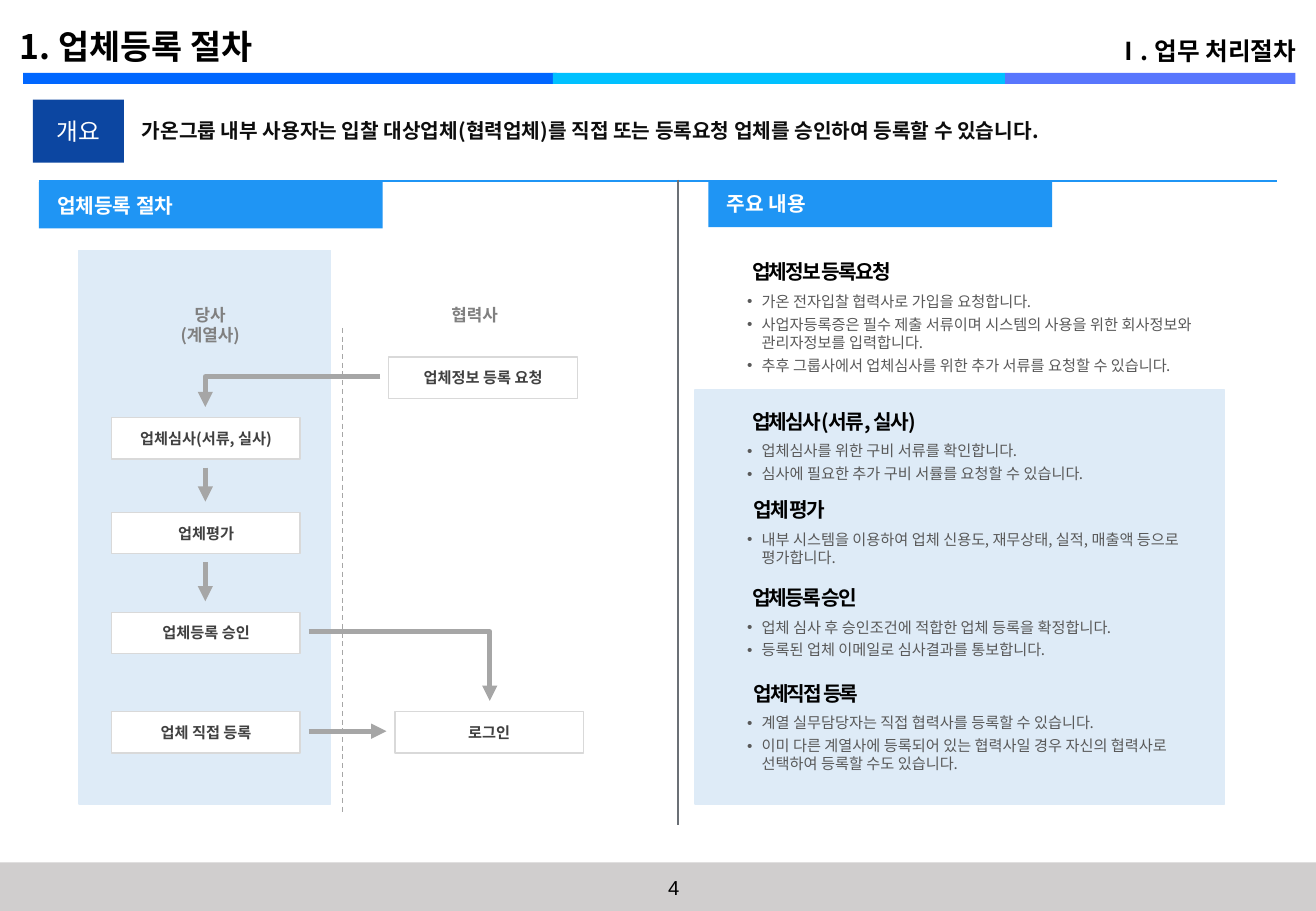
"""Build the vendor registration procedure slide."""
from lxml import etree
from pptx import Presentation
from pptx import util as u
from pptx.dml.color import RGBColor
from pptx.enum import dml, shapes, text
from pptx.oxml.ns import qn

BLACK = RGBColor(0x00, 0x00, 0x00)
INK = RGBColor(0x0D, 0x0D, 0x0D)
DARK_GRAY = RGBColor(0x40, 0x40, 0x40)
BODY_GRAY = RGBColor(0x59, 0x59, 0x59)
DIVIDER_GRAY = RGBColor(0x6B, 0x70, 0x76)
CAPTION_GRAY = RGBColor(0x80, 0x80, 0x80)
ARROW_GRAY = RGBColor(0xA6, 0xA6, 0xA6)
FOOTER_GRAY = RGBColor(0xD0, 0xCE, 0xCE)
BORDER_GRAY = RGBColor(0xD9, 0xD9, 0xD9)
WHITE = RGBColor(0xFF, 0xFF, 0xFF)
PALE_BLUE = RGBColor(0xDE, 0xEB, 0xF7)
NAVY = RGBColor(0x0C, 0x46, 0xA1)
TAB_BLUE = RGBColor(0x1F, 0x95, 0xF4)
RULE_BLUE = RGBColor(0x1F, 0x95, 0xF5)
BAND_BLUE = RGBColor(0x00, 0x67, 0xFF)
BAND_CYAN = RGBColor(0x00, 0xC1, 0xFF)
BAND_VIOLET = RGBColor(0x58, 0x76, 0xFD)
KOREAN = "Noto Sans CJK KR"
LEFT, CENTER, RIGHT = text.PP_ALIGN.LEFT, text.PP_ALIGN.CENTER, text.PP_ALIGN.RIGHT
MIDDLE = text.MSO_ANCHOR.MIDDLE

deck = Presentation()
deck.slide_width, deck.slide_height = u.Inches(10.83), u.Inches(7.5)
slide = deck.slides.add_slide(deck.slide_layouts[1])


def add_box(spot, fill, border=None):
    box = slide.shapes.add_shape(shapes.MSO_SHAPE.RECTANGLE, *map(u.Inches, spot))
    box.shadow.inherit = False
    box.fill.solid()
    box.fill.fore_color.rgb = fill
    if border is None:
        box.line.fill.background()
    else:
        box.line.color.rgb = border
        box.line.width = u.Pt(0.75)
    return box.text_frame


def write(frame, content, size, color, bold=True, align=LEFT, leading=1.18,
          anchor=text.MSO_ANCHOR.TOP, face=KOREAN):
    frame.text = content
    frame.word_wrap = True
    frame.auto_size = text.MSO_AUTO_SIZE.NONE
    frame.vertical_anchor = anchor
    for order, paragraph in enumerate(frame.paragraphs):
        paragraph.alignment = align
        paragraph.line_spacing = u.Pt(round(size * leading, 1))
        paragraph.space_before = u.Pt(3 if order else 0)
        for run in paragraph.runs:
            run.font.size = u.Pt(size)
            run.font.bold = bold
            run.font.color.rgb = color
            run.font.name = face
            east_asian = etree.SubElement(run.font._element, qn("a:ea"))
            east_asian.set("typeface", face)


for left, width, color in [(0.19, 4.39, BAND_BLUE), (8.27, 2.39, BAND_VIOLET),
                           (4.55, 3.72, BAND_CYAN)]:
    add_box((left, 0.6, width, 0.09), color)
add_box((0, 7.1, 10.83, 0.4), FOOTER_GRAY)
for panel in [(5.72, 3.21, 4.36, 3.41), (0.65, 2.06, 2.07, 4.56)]:
    add_box(panel, PALE_BLUE, PALE_BLUE)

title = slide.shapes.title
title.left, title.top, title.width, title.height = map(u.Inches, (0.06, 0, 7.36, 0.6))
write(title.text_frame, "1. 업체등록 절차", 20, BLACK, leading=1.77, anchor=MIDDLE)

chapter = slide.placeholders[1]
chapter.left, chapter.top, chapter.width, chapter.height = map(u.Inches, (8.02, 0.12, 2.75, 0.47))
write(chapter.text_frame, "Ⅰ. 업무 처리절차", 14.6, BLACK, align=RIGHT, leading=1.06,
      anchor=text.MSO_ANCHOR.BOTTOM)
chapter_format = chapter.text_frame.paragraphs[0]._p.get_or_add_pPr()
chapter_format.set("marL", "0")
chapter_format.set("indent", "0")
etree.SubElement(chapter_format, qn("a:buNone"))

write(add_box((0.27, 0.82, 0.75, 0.52), NAVY), "개요", 14, WHITE, False, CENTER, anchor=MIDDLE)
overview = slide.shapes.add_textbox(*map(u.Inches, (1.07, 0.85, 9.52, 0.38)))
write(overview.text_frame,
      "가온그룹 내부 사용자는 입찰 대상업체(협력업체)를 직접 또는 등록요청 업체를 승인하여 등록할 수 있습니다.",
      12, INK, leading=20 / 12)

STRAIGHT, ELBOW = shapes.MSO_CONNECTOR.STRAIGHT, shapes.MSO_CONNECTOR.ELBOW
for kind, ends, color, weight, arrow, turned in [
        (STRAIGHT, (0.32, 1.49, 10.51, 1.49), RULE_BLUE, 0.75, False, False),
        (STRAIGHT, (5.58, 1.48, 5.58, 6.79), DIVIDER_GRAY, 0.75, False, False),
        (STRAIGHT, (2.82, 2.7, 2.82, 6.7), ARROW_GRAY, 0.75, False, False),
        (ELBOW, (1.69, 3.1, 3.13, 3.35), ARROW_GRAY, 3, True, True),
        (STRAIGHT, (1.69, 3.85, 1.69, 4.13), ARROW_GRAY, 3, True, False),
        (STRAIGHT, (1.69, 4.63, 1.69, 4.95), ARROW_GRAY, 3, True, False),
        (ELBOW, (2.54, 5.2, 4.03, 5.77), ARROW_GRAY, 3, True, False),
        (STRAIGHT, (2.54, 6.02, 3.18, 6.02), ARROW_GRAY, 3, True, False)]:
    link = slide.shapes.add_connector(kind, *map(u.Inches, ends))
    link.line.color.rgb = color
    link.line.width = u.Pt(weight)
    properties = link._element.spPr
    if arrow:
        etree.SubElement(link.line._get_or_add_ln(), qn("a:tailEnd")).set("type", "triangle")
    elif color == ARROW_GRAY:
        link.line.dash_style = dml.MSO_LINE.DASH
    if kind == ELBOW:
        properties.find(qn("a:prstGeom")).set("prst", "bentConnector2")
    if turned:
        properties.find(qn("a:xfrm")).set("rot", "10800000")
        properties.find(qn("a:xfrm")).set("flipV", "1")
    etree.SubElement(properties, qn("a:effectLst"))

for left, top, heading in [(0.32, 1.5, "업체등록 절차"), (5.83, 1.49, "주요 내용")]:
    tab = add_box((left, top, 2.83, 0.38), TAB_BLUE)
    tab.margin_left = u.Inches(0.15)
    write(tab, heading, 12, WHITE, anchor=MIDDLE)

for left, width, party in [(1.3, 0.86, "당사(계열사)"), (3.46, 0.89, "협력사")]:
    caption = slide.shapes.add_textbox(*map(u.Inches, (left, 2.46, width, 0.27)))
    write(caption.text_frame, party, 10, CAPTION_GRAY, align=CENTER)

for left, top, step in [
        (3.2, 2.94, "업체정보 등록 요청"), (0.92, 3.44, "업체심사(서류, 실사)"),
        (0.92, 4.22, "업체평가"), (0.92, 5.04, "업체등록 승인"),
        (3.25, 5.86, "로그인"), (0.92, 5.86, "업체 직접 등록")]:
    step_frame = add_box((left, top, 1.55, 0.34), WHITE, BORDER_GRAY)
    step_frame.margin_left = step_frame.margin_right = 0
    step_frame.margin_top = step_frame.margin_bottom = 0
    write(step_frame, step, 9, DARK_GRAY, align=CENTER, anchor=MIDDLE)

for left, top, height, topic, details in [
        (6.18, 2.13, 0.79, "업체정보 등록요청", [
            "가온 전자입찰 협력사로 가입을 요청합니다.",
            "사업자등록증은 필수 제출 서류이며 시스템의 사용을 위한 회사정보와 관리자정보를 입력합니다.",
            "추후 그룹사에서 업체심사를 위한 추가 서류를 요청할 수 있습니다."]),
        (6.18, 3.36, 0.45, "업체심사(서류, 실사)", [
            "업체심사를 위한 구비 서류를 확인합니다.",
            "심사에 필요한 추가 구비 서률를 요청할 수 있습니다."]),
        (6.19, 4.09, 0.4, "업체 평가", [
            "내부 시스템을 이용하여 업체 신용도, 재무상태, 실적, 매출액 등으로 평가합니다."]),
        (6.18, 4.81, 0.45, "업체등록 승인", [
            "업체 심사 후 승인조건에 적합한 업체 등록을 확정합니다.",
            "등록된 업체 이메일로 심사결과를 통보합니다."]),
        (6.19, 5.6, 0.6, "업체직접 등록", [
            "계열 실무담당자는 직접 협력사를 등록할 수 있습니다.",
            "이미 다른 계열사에 등록되어 있는 협력사일 경우 자신의 협력사로 선택하여 등록할 수도 있습니다."])]:
    heading = slide.shapes.add_textbox(*map(u.Inches, (left, top, 1.86, 0.22))).text_frame
    heading.margin_left = heading.margin_top = u.Inches(0.01)
    heading.margin_right = heading.margin_bottom = 0
    write(heading, topic, 12, BLACK)
    heading.paragraphs[0].runs[0].font._element.set("spc", "-110")

    notes = slide.shapes.add_textbox(*map(u.Inches, (5.98, top + 0.23, 4.16, height))).text_frame
    write(notes, "\n".join(details), 9, BODY_GRAY, False)
    for detail in notes.paragraphs:
        detail_format = detail._p.get_or_add_pPr()
        detail_format.set("marL", str(u.Inches(0.19)))
        detail_format.set("indent", str(u.Inches(-0.12)))
        etree.SubElement(detail_format, qn("a:buFont")).set("typeface", "Arial")
        etree.SubElement(detail_format, qn("a:buChar")).set("char", "•")

page_number = slide.shapes.add_textbox(*map(u.Inches, (4.58, 7.16, 1.93, 0.3)))
write(page_number.text_frame, "4", 12, BLACK, False, CENTER, face="Arial")

deck.save("out.pptx")
